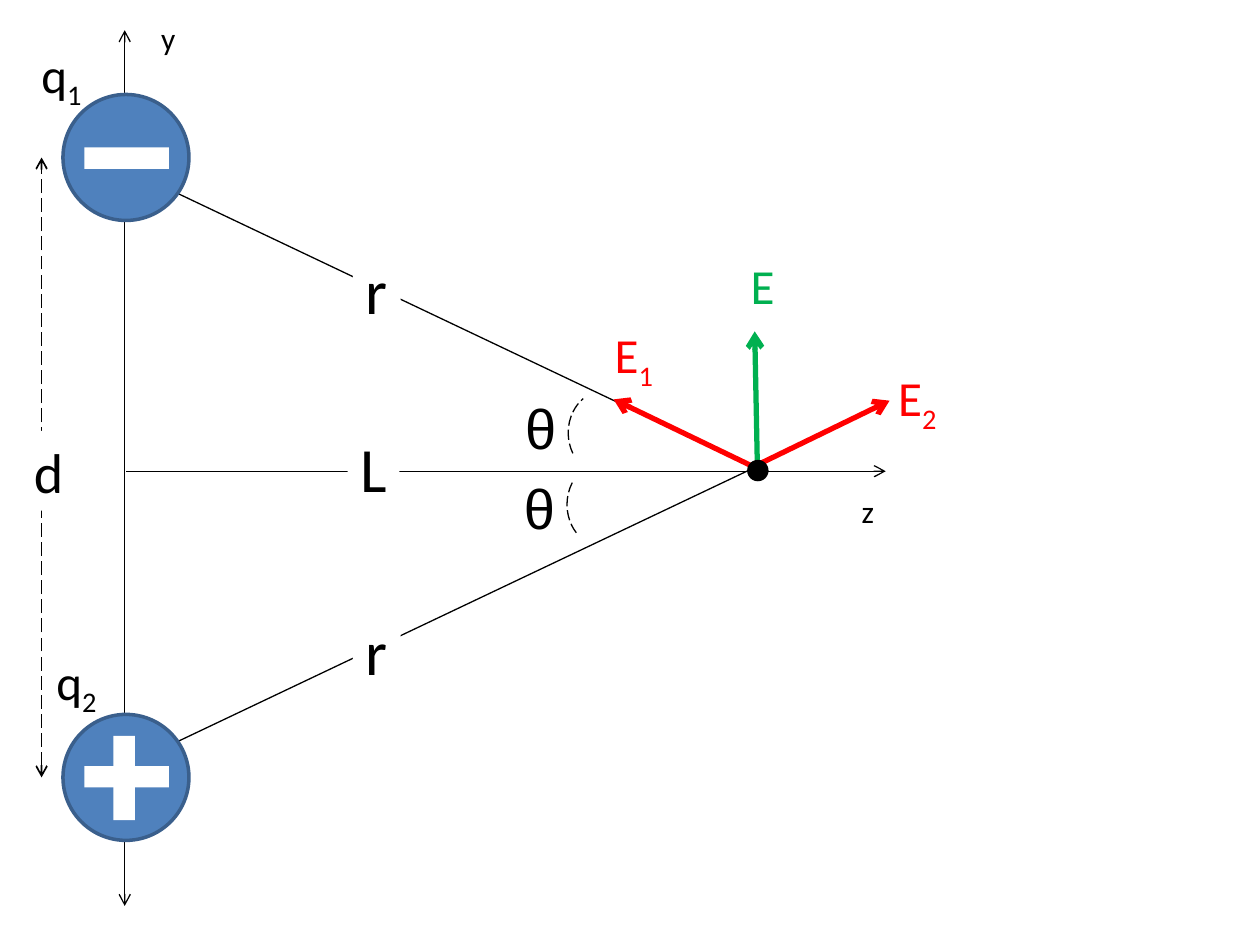
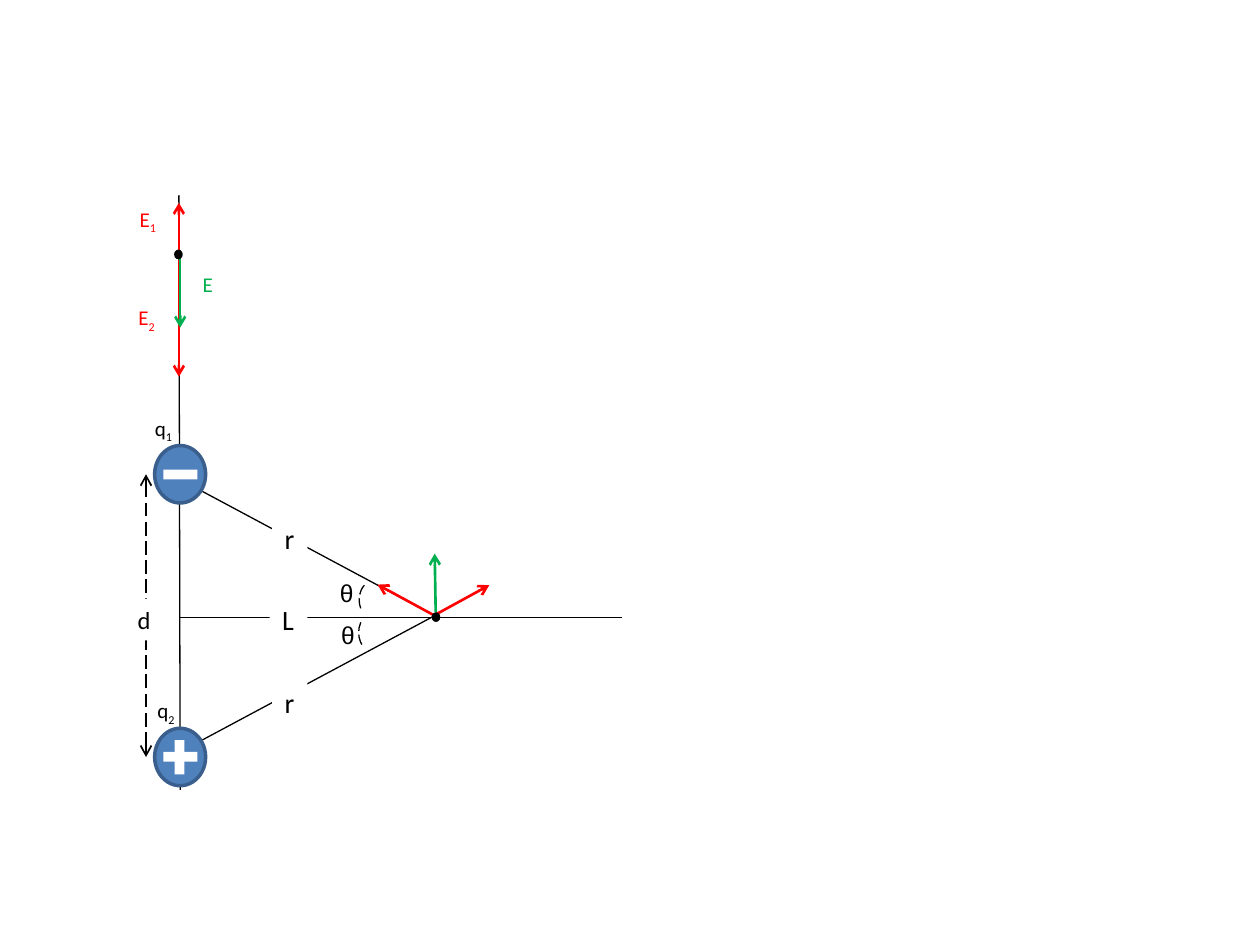
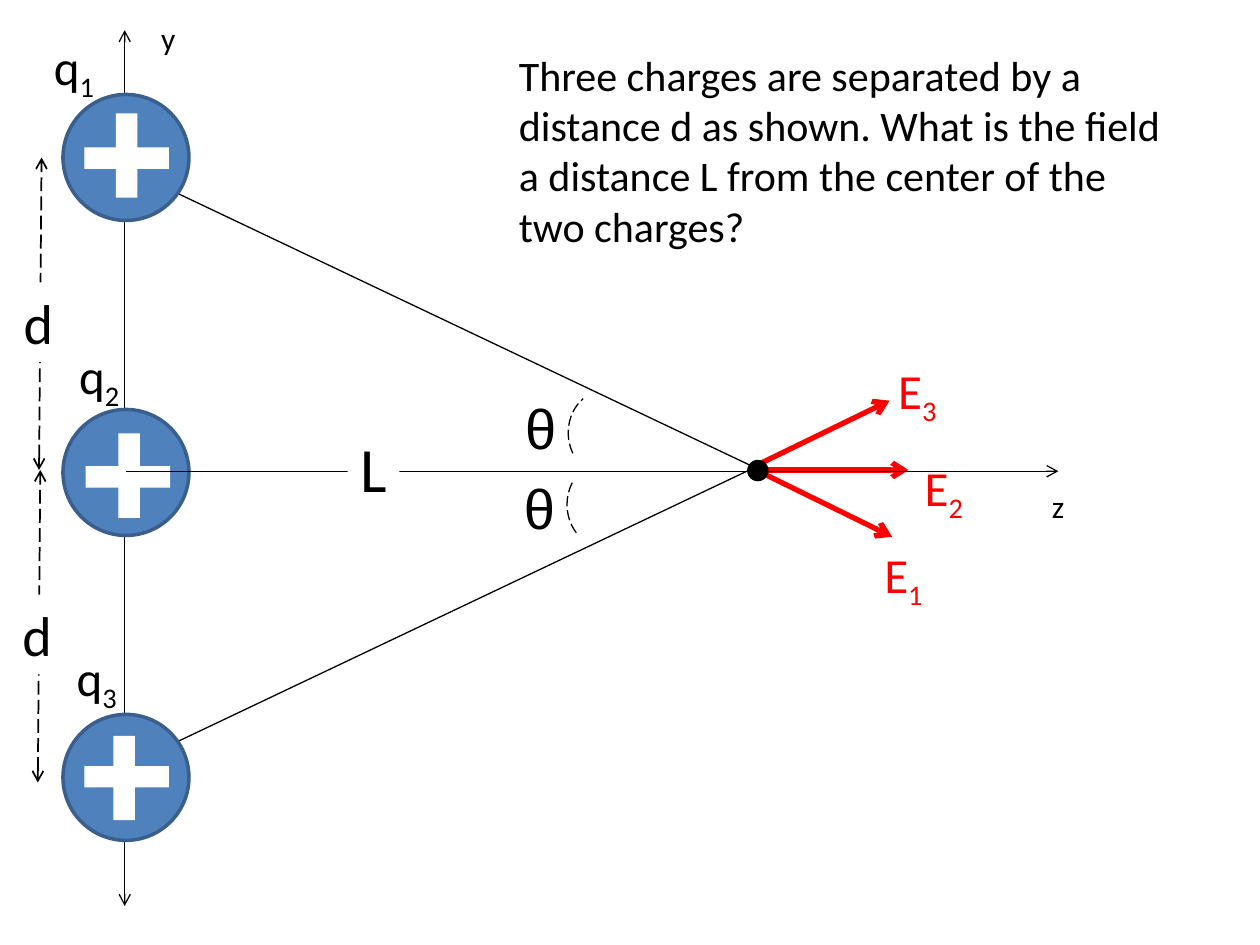
from dataclasses import dataclass

import lxml.etree
import pptx
import pptx.dml.color
import pptx.enum.dml
import pptx.enum.shapes
import pptx.enum.text
import pptx.oxml.ns
import pptx.shapes.autoshape
import pptx.shapes.shapetree
import pptx.util

Inches = pptx.util.Inches
Shape = pptx.enum.shapes.MSO_SHAPE
Point = tuple[float, float]

BLACK, WHITE = "000000", "FFFFFF"
RED, GREEN = "FF0000", "00B050"
BLUE, NAVY = "4F81BD", "3A5F8C"
THIN, DASHED = 0.75, 1


@dataclass
class Board:
    """A drawing area: scene point (1, 3.74) lies at (x, y), scaled by sx and sy."""
    shapes: pptx.shapes.shapetree.SlideShapes
    x: float = 1
    y: float = 3.74
    sx: float = 1
    sy: float = 1
    thick: float = 3

    def spot(self, point: Point) -> tuple[int, int]:
        left, top = point
        return (Inches(self.x + (left - 1) * self.sx),
                Inches(self.y + (top - 3.74) * self.sy))


@dataclass
class Line:
    start: Point
    end: Point
    color: str = BLACK
    width: float = THIN
    head: bool = False
    tail: bool = False
    dash: bool = False


@dataclass
class Charge:
    """A disc with a flat bar, and a tall bar as well when it is positive."""
    top: float
    flat: Point
    tall: Point | None = None


@dataclass
class Label:
    text: str
    left: float
    top: float
    width: float
    size: int
    sub: str = ""
    color: str = BLACK
    font: str = "Calibri"
    wrap: bool = False
    fill: bool = False


@dataclass
class Arc:
    left: float
    top: float
    start: float
    end: float


ARCS = [Arc(4.5, 3.67, 188.46, 23.43), Arc(4.51, 3.1, 196.27, 34.66)]
RAYS = [Line((5.99, 3.71), (1.02, 1.35)), Line((5.97, 3.72), (1, 6.08))]
AXIS = Line((0.99, 0.24), (0.99, 7.19), head=True, tail=True)
FIRST = Charge(0.75, (0.67, 1.17))
LAST = Charge(5.67, (0.67, 6.08), (0.65, 6.09))
DOT = (5.93, 3.65)


def rgb(code: str) -> pptx.dml.color.RGBColor:
    return pptx.dml.color.RGBColor.from_string(code)


def arrow(start: Point, end: Point, color: str, width: float) -> Line:
    return Line(start, end, color, width, tail=True)


def span(start: Point, end: Point) -> Line:
    return Line(start, end, width=DASHED, head=True, tail=True, dash=True)


def pen(line, color: str, width: float, dash: bool = False) -> None:
    line.color.rgb = rgb(color)
    line.width = pptx.util.Pt(width)
    if dash:
        line.dash_style = pptx.enum.dml.MSO_LINE.LONG_DASH


def draw_lines(board: Board, lines: list[Line]) -> None:
    for item in lines:
        link = board.shapes.add_connector(
            pptx.enum.shapes.MSO_CONNECTOR.STRAIGHT,
            *board.spot(item.start), *board.spot(item.end))
        pen(link.line, item.color, item.width, item.dash)
        props = link._element.spPr
        stroke = props.find(pptx.oxml.ns.qn("a:ln"))
        for tag, shown in (("a:headEnd", item.head), ("a:tailEnd", item.tail)):
            if shown:
                lxml.etree.SubElement(stroke, pptx.oxml.ns.qn(tag), type="arrow")
        lxml.etree.SubElement(props, pptx.oxml.ns.qn("a:effectLst"))


def draw_shape(board: Board, kind: Shape, point: Point, width: float,
               height: float, fill: str = "") -> pptx.shapes.autoshape.Shape:
    shape = board.shapes.add_shape(
        kind, *board.spot(point),
        Inches(width * board.sx), Inches(height * board.sy))
    shape.shadow.inherit = False
    if fill:
        shape.fill.solid()
        shape.fill.fore_color.rgb = rgb(fill)
        shape.line.fill.background()
    else:
        shape.fill.background()
    return shape


def draw_charges(board: Board, charges: list[Charge]) -> None:
    for charge in charges:
        disc = draw_shape(board, Shape.OVAL, (0.5, charge.top), 1, 1, BLUE)
        pen(disc.line, NAVY, 2)
        draw_shape(board, Shape.RECTANGLE, charge.flat, 0.67, 0.17, WHITE)
        if charge.tall:
            bar = draw_shape(board, Shape.RECTANGLE, charge.tall, 0.67, 0.17, WHITE)
            bar.rotation = 90


def draw_arcs(board: Board) -> None:
    for item in ARCS:
        arc = draw_shape(board, Shape.ARC, (item.left, item.top), 0.58, 0.67)
        arc.adjustments[0], arc.adjustments[1] = item.start, item.end
        pen(arc.line, BLACK, THIN, dash=True)
        for side in ("flipH", "flipV"):
            arc._element.spPr.xfrm.set(side, "1")


def draw_dot(board: Board, point: Point = DOT) -> None:
    draw_shape(board, Shape.OVAL, point, 0.17, 0.17, BLACK)


def draw_labels(board: Board, labels: list[Label]) -> None:
    """Places labels in slide inches, whatever the scale of the board."""
    for item in labels:
        tall = item.size / 60 + 0.1
        box = board.shapes.add_textbox(Inches(item.left), Inches(item.top),
                                       Inches(item.width), Inches(tall))
        if item.fill:
            box.fill.solid()
            box.fill.fore_color.rgb = rgb(WHITE)
        frame = box.text_frame
        frame.word_wrap = item.wrap
        frame.auto_size = pptx.enum.text.MSO_AUTO_SIZE.SHAPE_TO_FIT_TEXT
        frame.text = item.text
        para = frame.paragraphs[0]
        if item.sub:
            run = para.add_run()
            run.text = item.sub
            run._r.get_or_add_rPr().set("baseline", "-25000")
        for run in para.runs:
            run.font.size = pptx.util.Pt(item.size)
            run.font.name = item.font
            run.font.color.rgb = rgb(item.color)


def mask(text: str, left: float, top: float, width: float, size: int,
         wrap: bool = False) -> Label:
    """A label on white that breaks the line behind it."""
    return Label(text, left, top, width, size, wrap=wrap, fill=True)


def charge_name(sub: str, left: float, top: float, size: int = 28) -> Label:
    return Label("q", left, top, 0.54 if size == 28 else 0.35, size, sub)


def field_name(sub: str, left: float, top: float, size: int = 28) -> Label:
    return Label("E", left, top, 0.53 if size == 28 else 0.34, size, sub, RED)


def theta(left: float, top: float, width: float = 0.58, size: int = 32) -> Label:
    return Label("θ", left, top, width, size, font="Arial", wrap=True)


def axis_name(text: str, left: float, top: float) -> Label:
    return Label(text, left, top, 0.32 if text == "y" else 0.3, 18)


THETAS = [theta(4.06, 3.71), theta(4.07, 3.07)]


def draw_pair(board: Board, axes: list[Line], masks: list[Label]) -> None:
    """The two opposite charges with their distances and fields."""
    draw_lines(board, RAYS)
    draw_lines(Board(board.shapes), axes)
    draw_charges(board, [LAST, FIRST])
    draw_lines(board, [span((0.33, 6.17), (0.33, 1.25))])
    draw_labels(board, masks)
    draw_arcs(board)
    draw_lines(board, [
        arrow((5.99, 3.7), (7.06, 3.18), RED, board.thick),
        arrow((5.95, 3.69), (4.87, 3.17), RED, board.thick),
        arrow((6.01, 3.65), (5.99, 2.63), GREEN, board.thick),
    ])
    draw_dot(board)


def dipole(board: Board) -> None:
    draw_pair(board, [Line((1, 3.74), (7.03, 3.74), tail=True), AXIS], [
        mask("d", 0.17, 3.42, 0.33, 32, wrap=True),
        mask("L", 2.76, 3.36, 0.41, 36),
        mask("r", 2.8, 4.81, 0.38, 36),
        mask("r", 2.8, 1.95, 0.38, 36),
    ])
    draw_labels(board, THETAS + [
        charge_name("1", 0.23, 0.3),
        charge_name("2", 0.35, 5.12),
        field_name("2", 7.03, 2.87),
        field_name("1", 4.78, 2.53),
        Label("E", 5.86, 1.98, 0.39, 28, color=GREEN),
        axis_name("y", 1.18, 0.1),
        axis_name("z", 6.74, 3.86),
    ])


def two_points(board: Board) -> None:
    small = Board(board.shapes, 1.43, 4.9, 0.41, 0.46, 1.5)
    small.sx, small.sy = 2.02 / 4.99, 1.09 / 2.39
    axes = [Line((1.43, 4.9), (4.94, 4.9)), Line((1.42, 1.55), (1.43, 6.27))]
    draw_pair(small, axes, [
        mask("d", 1.05, 4.75, 0.14, 14, wrap=True),
        mask("L", 2.14, 4.73, 0.3, 16),
        mask("r", 2.16, 5.39, 0.28, 16),
        mask("r", 2.16, 4.09, 0.28, 16),
    ])
    draw_lines(board, [
        arrow((1.42, 2.06), (1.42, 2.99), RED, small.thick),
        arrow((1.42, 1.99), (1.42, 1.61), RED, small.thick),
        arrow((1.43, 2.05), (1.43, 2.6), GREEN, small.thick),
    ])
    draw_dot(small, (0.88, -2.66))
    draw_labels(small, [
        theta(2.61, 4.87, 0.24, 14),
        theta(2.6, 4.54, 0.24, 14),
        charge_name("1", 1.13, 3.25, 12),
        charge_name("2", 1.15, 5.49, 12),
        field_name("2", 1, 2.37, 12),
        field_name("1", 1.01, 1.59, 12),
        Label("E", 1.51, 2.11, 0.28, 12, color=GREEN),
    ])


def three_charges(board: Board) -> None:
    draw_lines(board, [AXIS] + RAYS)
    draw_charges(board, [
        LAST,
        Charge(FIRST.top, FIRST.flat, (0.67, 1.15)),
        Charge(3.25, (0.68, 3.7), (0.69, 3.69)),
    ])
    draw_lines(board, [span((0.31, 3.73), (0.33, 1.25)),
                       span((0.3, 6.21), (0.32, 3.73))])
    draw_arcs(board)
    draw_lines(board, [
        arrow((5.99, 3.7), (7.06, 3.18), RED, board.thick),
        arrow((6, 3.73), (7.08, 4.26), RED, board.thick),
        arrow((5.97, 3.73), (7.21, 3.73), RED, board.thick),
    ])
    draw_dot(board)
    draw_lines(board, [Line((1, 3.74), (8.4, 3.74), tail=True)])
    draw_labels(board, THETAS + [
        mask("d", 0.09, 2.24, 0.33, 32, wrap=True),
        mask("d", 0.08, 4.72, 0.33, 32, wrap=True),
        charge_name("1", 0.33, 0.24),
        charge_name("3", 0.51, 5.09),
        charge_name("2", 0.53, 2.69),
        field_name("3", 7.03, 2.81),
        field_name("2", 7.24, 3.58),
        field_name("1", 6.92, 4.27),
        axis_name("y", 1.18, 0.1),
        axis_name("z", 8.25, 3.82),
        mask("L", 2.76, 3.36, 0.41, 36),
        Label("Three charges are separated by a distance d as shown. "
              "What is the field a distance L from the center of the two charges?",
              4.02, 0.34, 5.44, 24, wrap=True),
    ])


def main() -> None:
    deck = pptx.Presentation()
    deck.slide_width, deck.slide_height = Inches(10), Inches(7.5)
    blank = deck.slide_layouts[6]
    for scene in (dipole, two_points, three_charges):
        scene(Board(deck.slides.add_slide(blank).shapes))
    deck.save("out.pptx")


if __name__ == "__main__":
    main()
